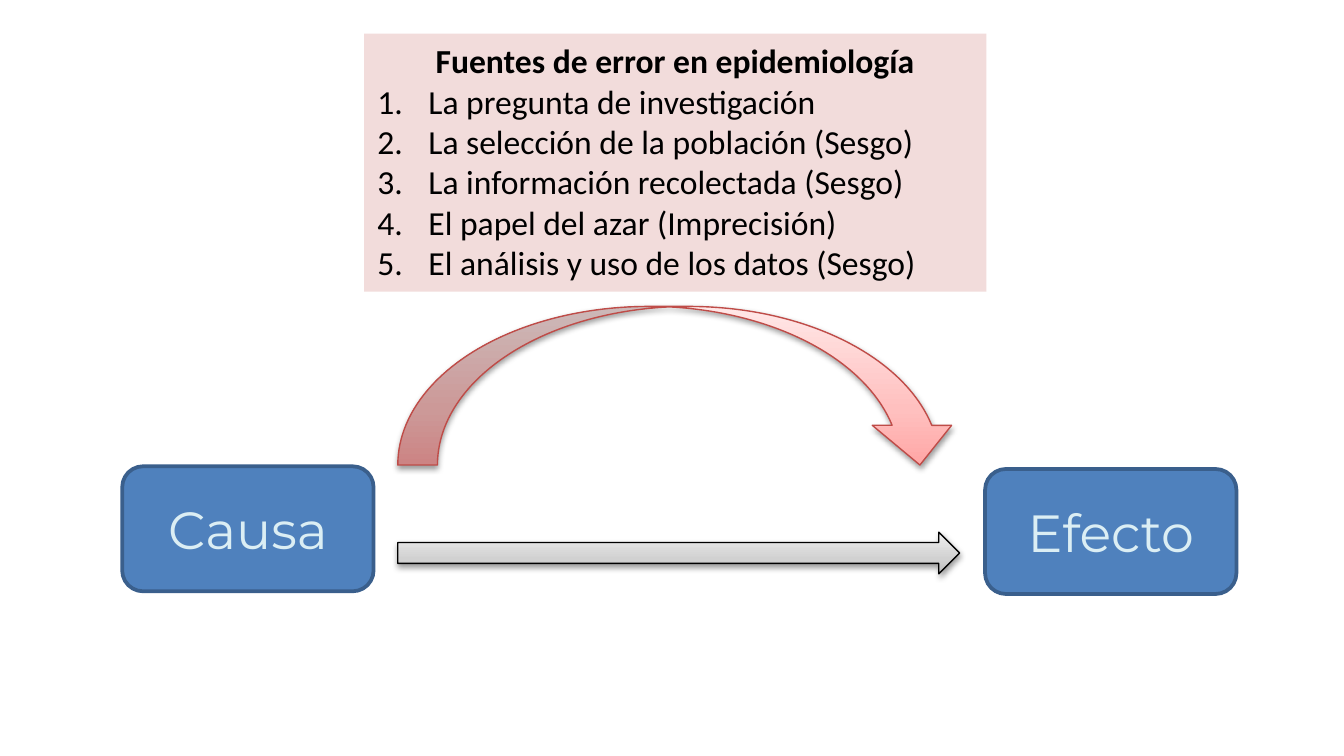
from copy import deepcopy
from dataclasses import dataclass
from typing import Any, Optional

from lxml.etree import SubElement
from pptx import Presentation
from pptx.dml.color import RGBColor
from pptx.enum.shapes import MSO_SHAPE
from pptx.enum.text import MSO_ANCHOR, MSO_AUTO_SIZE, PP_ALIGN
from pptx.oxml.ns import qn
from pptx.util import Inches, Pt

CELL = 0.1  # inches per grid column and row
COLUMNS = 100
ROWS = COLUMNS * 9 / 16
COLORS = {
    "box": "4F81BD", "box_line": "3A5F8C", "box_text": "DBEEF4",
    "panel": "F2DCDB", "black": "000000", "red_line": "BF4C48",
}
GRADIENTS = {
    "gray": [(0, "BDBDBD"), (0.35, "D1D1D1"), (1, "EEEEEE")],
    "red": [(0, "FFA6A5"), (0.35, "FFC0BF"), (1, "FFE7E7")],
}
TITLE = "Fuentes de error en epidemiología"
ERROR_SOURCES = [
    "La pregunta de investigación",
    "La selección de la población (Sesgo)",
    "La información recolectada (Sesgo)",
    "El papel del azar (Imprecisión)",
    "El análisis y uso de los datos (Sesgo)",
]


@dataclass
class Block:
    """A shape placed by grid column and row."""
    kind: MSO_SHAPE
    column: float
    row: float
    columns: float
    rows: float
    fill: str
    line: Optional[str] = None
    line_width: float = 0.75
    label: str = ""


ARROW_SPAN = {"column": 29.6, "columns": 41.8}
BOX_STYLE = {"kind": MSO_SHAPE.ROUNDED_RECTANGLE, "columns": 18.7, "rows": 9.3,
             "fill": "box", "line": "box_line", "line_width": 2}
CAUSAL_PATH = [
    Block(MSO_SHAPE.RIGHT_ARROW, row=39.6, rows=3.1, fill="gray", line="black", **ARROW_SPAN),
    Block(column=9.1, row=34.7, label="Causa", **BOX_STYLE),
    Block(column=73.3, row=34.9, label="Efecto", **BOX_STYLE),
]
ERROR_ARROW = Block(MSO_SHAPE.CURVED_DOWN_ARROW, row=22.8, rows=11.8, fill="red",
                    line="red_line", **ARROW_SPAN)
ERROR_PANEL = Block(MSO_SHAPE.RECTANGLE, 27.1, 2.5, 46.3, 19.2, "panel")


def grid(cells: float) -> int:
    """Turn grid cells into a length."""
    return Inches(round(cells * CELL, 4))


def color(name: str) -> RGBColor:
    """Look up a named colour."""
    return RGBColor.from_string(COLORS[name])


def apply(target: Any, values: dict) -> None:
    """Set attributes from a dict of format values."""
    for name, value in values.items():
        setattr(target, name, value)


def add_gradient(shape: Any, stops: list) -> None:
    """Fill a shape with a three-stop gradient running upwards."""
    shape.fill.gradient()
    shape.fill.gradient_angle = 90
    last_stop = shape._element.xpath(".//a:gs")[-1]
    last_stop.addnext(deepcopy(last_stop))
    for stop, (position, value) in zip(shape.fill.gradient_stops, stops):
        stop.position = position
        stop.color.rgb = RGBColor.from_string(value)


def add_shadow(shape: Any) -> None:
    """Add a soft shadow below a shape."""
    effects = shape._element.spPr.find(qn("a:effectLst"))
    shadow = SubElement(effects, qn("a:outerShdw"), blurRad=str(Pt(3.1)),
                        dist=str(Pt(1.6)), dir="5400000", rotWithShape="0")
    shade = SubElement(shadow, qn("a:srgbClr"), val=COLORS["black"])
    SubElement(shade, qn("a:alpha"), val="38000")


def add_text(paragraph: Any, text: str, font: dict, text_color: str) -> None:
    """Write one formatted run in a paragraph."""
    run = paragraph.add_run()
    run.text = text
    apply(run.font, font)
    run.font.color.rgb = color(text_color)


def add_block(group: Any, block: Block) -> Any:
    """Draw a block with its fill, outline, shadow and label."""
    shape = group.shapes.add_shape(block.kind, grid(block.column), grid(block.row),
                                   grid(block.columns), grid(block.rows))
    shape.shadow.inherit = False
    if block.fill in GRADIENTS:
        add_gradient(shape, GRADIENTS[block.fill])
        add_shadow(shape)
    else:
        shape.fill.solid()
        shape.fill.fore_color.rgb = color(block.fill)
    if block.line:
        shape.line.color.rgb = color(block.line)
        shape.line.width = Pt(block.line_width)
    else:
        shape.line.fill.background()
    if block.label:
        shape.text_frame.vertical_anchor = MSO_ANCHOR.MIDDLE
        paragraph = shape.text_frame.paragraphs[0]
        paragraph.alignment = PP_ALIGN.CENTER
        add_text(paragraph, block.label, {"name": "Montserrat", "size": Pt(28)}, "box_text")
    return shape


def number_paragraph(paragraph: Any) -> None:
    """Give a paragraph a hanging indent and an automatic number."""
    properties = paragraph._p.get_or_add_pPr()
    indent = Inches(0.38)
    properties.set("marL", str(indent))
    properties.set("indent", str(-indent))
    SubElement(properties, qn("a:buFont"), typeface="+mj-lt")
    SubElement(properties, qn("a:buAutoNum"), type="arabicPeriod")


def add_error_list(shape: Any) -> None:
    """Write the heading and the numbered sources of error."""
    frame = shape.text_frame
    apply(frame, {"word_wrap": True, "vertical_anchor": MSO_ANCHOR.TOP,
                  "auto_size": MSO_AUTO_SIZE.SHAPE_TO_FIT_TEXT})
    font = {"name": "Calibri", "size": Pt(18)}
    heading = frame.paragraphs[0]
    heading.alignment = PP_ALIGN.CENTER
    add_text(heading, TITLE, {**font, "bold": True}, "black")
    for source in ERROR_SOURCES:
        paragraph = frame.add_paragraph()
        paragraph.alignment = PP_ALIGN.LEFT
        number_paragraph(paragraph)
        add_text(paragraph, source, font, "black")


def main() -> None:
    """Build and save the slide."""
    presentation = Presentation()
    apply(presentation, {"slide_width": grid(COLUMNS), "slide_height": grid(ROWS)})
    slide = presentation.slides.add_slide(presentation.slide_layouts[6])
    causal_group = slide.shapes.add_group_shape()
    for block in CAUSAL_PATH:
        add_block(causal_group, block)
    error_group = slide.shapes.add_group_shape()
    add_block(error_group, ERROR_ARROW)
    add_error_list(add_block(error_group, ERROR_PANEL))
    presentation.save("out.pptx")


main()
